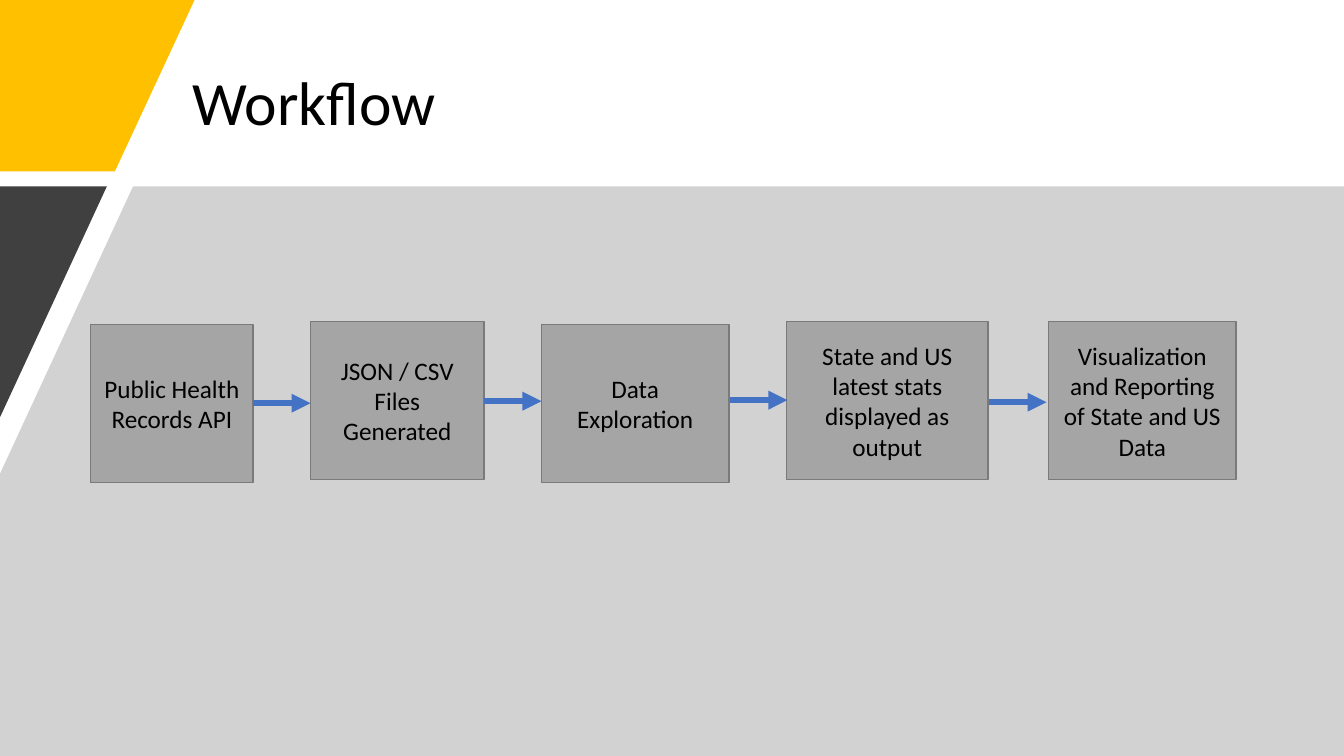
from dataclasses import dataclass

from lxml.etree import SubElement
from pptx import Presentation
from pptx.dml.color import RGBColor
from pptx.enum.shapes import MSO_CONNECTOR, MSO_SHAPE
from pptx.enum.text import MSO_ANCHOR, PP_ALIGN
from pptx.oxml.ns import qn
from pptx.slide import Slide
from pptx.text.text import TextFrame
from pptx.util import Inches, Pt

COLORS = {
    "accent": "FFC000",
    "panel": "A6A6A6",
    "wedge": "404040",
    "box": "A5A5A5",
    "border": "7A7A7A",
    "arrow": "4472C4",
    "text": "000000",
}
FONT = "Calibri"
BOX_HEIGHT = 1.57
ARROW_LENGTH = 0.57


@dataclass(frozen=True)
class Polygon:
    color: str
    points: tuple[tuple[float, float], ...]
    opacity: int = 100


@dataclass(frozen=True)
class Step:
    text: str
    left: float
    top: float
    width: float


@dataclass(frozen=True)
class Arrow:
    left: float
    y: float


POLYGONS = (
    Polygon("accent", ((0, 0), (1.93, 0), (1.14, 1.7), (0, 1.7))),
    Polygon("panel", ((1.32, 1.85), (13.33, 1.85), (13.33, 7.5), (0, 7.5), (0, 4.7)), 50),
    Polygon("wedge", ((0, 1.85), (1.06, 1.85), (0, 4.14))),
)
STEPS = (
    Step("Public Health Records API", 0.9, 3.22, 1.61),
    Step("JSON / CSV Files Generated", 3.08, 3.19, 1.72),
    Step("Data Exploration", 5.37, 3.22, 1.86),
    Step("State and US latest stats displayed as output", 7.8, 3.19, 2),
    Step("Visualization and Reporting of State and US Data", 10.4, 3.19, 1.86),
)
ARROWS = (Arrow(2.51, 4), Arrow(4.8, 3.98), Arrow(7.24, 3.97), Arrow(9.81, 3.99))


def rgb(name: str) -> RGBColor:
    return RGBColor.from_string(COLORS[name])


def set_text(text_frame: TextFrame, text: str, size: int, alignment: PP_ALIGN) -> None:
    text_frame.text = text
    text_frame.word_wrap = True
    text_frame.vertical_anchor = MSO_ANCHOR.MIDDLE
    paragraph = text_frame.paragraphs[0]
    paragraph.alignment = alignment
    font = paragraph.runs[0].font
    font.name = FONT
    font.size = Pt(size)
    font.color.rgb = rgb("text")


def add_title(slide: Slide, text: str) -> None:
    title = slide.shapes.add_textbox(Inches(1.81), Inches(0.4), Inches(10.24), Inches(1.3))
    set_text(title.text_frame, text, 44, PP_ALIGN.LEFT)
    title.text_frame.paragraphs[0].line_spacing = 0.9


def add_polygon(slide: Slide, polygon: Polygon) -> None:
    start, *others = [(Inches(x), Inches(y)) for x, y in polygon.points]
    builder = slide.shapes.build_freeform(*start)
    builder.add_line_segments(others, close=True)
    shape = builder.convert_to_shape()
    shape.shadow.inherit = False
    shape.fill.solid()
    shape.fill.fore_color.rgb = rgb(polygon.color)
    shape.line.fill.background()
    if polygon.opacity < 100:
        color = shape.element.spPr.find(qn("a:solidFill")).find(qn("a:srgbClr"))
        SubElement(color, qn("a:alpha"), val=str(polygon.opacity * 1000))


def add_step(slide: Slide, step: Step) -> None:
    shape = slide.shapes.add_shape(
        MSO_SHAPE.RECTANGLE,
        Inches(step.left), Inches(step.top), Inches(step.width), Inches(BOX_HEIGHT),
    )
    shape.shadow.inherit = False
    shape.fill.solid()
    shape.fill.fore_color.rgb = rgb("box")
    shape.line.color.rgb = rgb("border")
    shape.line.width = Pt(1)
    set_text(shape.text_frame, step.text, 18, PP_ALIGN.CENTER)


def add_arrow(slide: Slide, arrow: Arrow) -> None:
    connector = slide.shapes.add_connector(
        MSO_CONNECTOR.STRAIGHT,
        Inches(arrow.left), Inches(arrow.y),
        Inches(arrow.left + ARROW_LENGTH), Inches(arrow.y),
    )
    connector.line.color.rgb = rgb("arrow")
    connector.line.width = Pt(4.5)
    properties = connector.element.spPr
    SubElement(properties.find(qn("a:ln")), qn("a:tailEnd"), type="triangle")
    SubElement(properties, qn("a:effectLst"))


def main() -> None:
    presentation = Presentation()
    presentation.slide_width = Inches(13.33)
    presentation.slide_height = Inches(7.5)
    slide = presentation.slides.add_slide(presentation.slide_layouts[6])
    add_title(slide, "Workflow")
    for polygon in POLYGONS:
        add_polygon(slide, polygon)
    for step in STEPS:
        add_step(slide, step)
    for arrow in ARROWS:
        add_arrow(slide, arrow)
    presentation.save("out.pptx")


if __name__ == "__main__":
    main()
